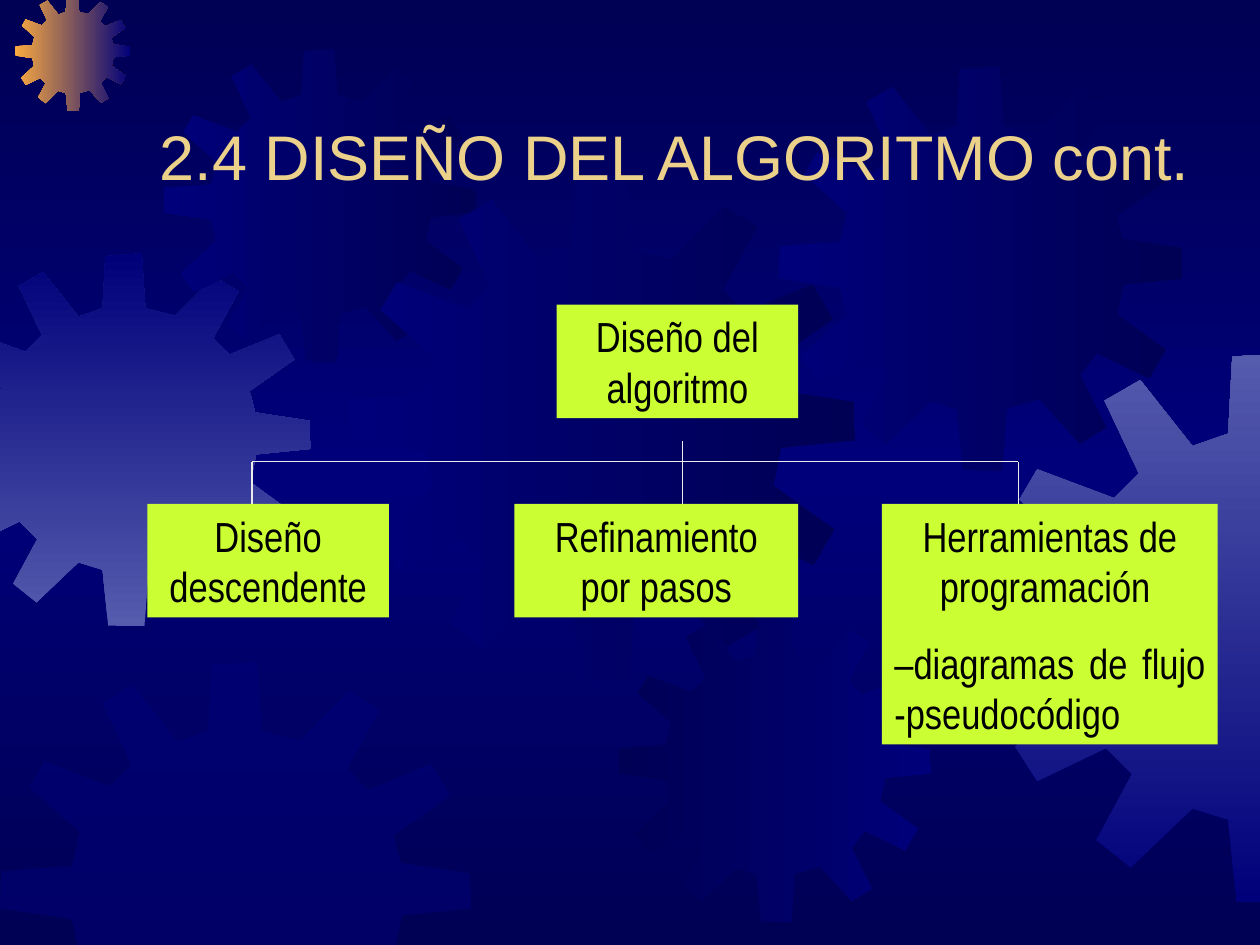
from copy import deepcopy

from lxml.etree import SubElement
from pptx import Presentation
from pptx.dml.color import RGBColor
from pptx.enum.shapes import MSO_CONNECTOR, MSO_SHAPE
from pptx.enum.text import MSO_ANCHOR, PP_ALIGN
from pptx.oxml.ns import qn
from pptx.util import Cm, Pt

NIGHT = RGBColor(0x00, 0x00, 0x54)
NAVY = RGBColor(0x00, 0x00, 0x7A)
STEEL = RGBColor(0x55, 0x5B, 0xAD)
ORANGE = RGBColor(0xFC, 0xAB, 0x40)
SAND = RGBColor(0xEB, 0xD1, 0x89)
LIME = RGBColor(0xCC, 0xFF, 0x33)
BLACK = RGBColor(0x00, 0x00, 0x00)
PALE = RGBColor(0xEA, 0xEA, 0xEA)

WIDTH, HEIGHT = 25.4, 19.05

# Outline of a twelve-toothed gear on a grid 401 units wide
GEAR_SPAN = 401
GEAR = [
    (255, 67), (223, 59), (219, 0), (180, 3), (177, 59), (151, 68), (113, 20),
    (87, 35), (112, 88), (94, 106), (38, 85), (25, 107), (68, 145), (61, 174),
    (1, 178), (0, 210), (61, 219), (67, 246), (22, 287), (38, 312), (88, 288),
    (107, 307), (81, 355), (106, 375), (151, 332), (177, 340), (183, 400),
    (222, 401), (226, 339), (259, 330), (299, 374), (325, 358), (299, 306),
    (316, 284), (368, 309), (384, 281), (336, 246), (342, 216), (401, 210),
    (400, 180), (341, 171), (335, 148), (383, 114), (367, 87), (313, 109),
    (296, 91), (323, 41), (297, 25),
]


def clip(points, axis, limit, sign):
    """Cut a polygon at a line, keeping the side where sign * (value - limit) >= 0."""
    kept = []
    for start, end in zip(points, points[1:] + points[:1]):
        a, b = (sign * (p[axis] - limit) for p in (start, end))
        if a >= 0:
            kept.append(start)
        if a * b < 0:
            t = a / (a - b)
            kept.append(tuple(s + t * (e - s) for s, e in zip(start, end)))
    return kept


class SlideBuilder:
    def __init__(self, slide):
        self.slide = slide
        self.shapes = slide.shapes

    def gradient(self, fill, first, last, angle):
        fill.gradient()
        fill.gradient_angle = 360 - angle
        for stop, color in zip(fill.gradient_stops, (first, last)):
            stop.color.rgb = color

    def background(self, edge, middle):
        fill = self.slide.background.fill
        self.gradient(fill, edge, middle, 90)
        stops = self.slide.element.find(".//" + qn("a:gsLst"))
        stops.append(deepcopy(stops[0]))
        stops[1].set("pos", "50000")
        stops[2].set("pos", "100000")

    def gear(self, left, top, size, first, last=None, angle=0):
        scale = size / GEAR_SPAN
        points = [(left + x * scale, top + y * scale) for x, y in GEAR]
        for axis, limit, sign in ((0, 0, 1), (1, 0, 1), (0, WIDTH, -1), (1, HEIGHT, -1)):
            points = clip(points, axis, limit, sign)
        corners = [(Cm(x), Cm(y)) for x, y in points]
        builder = self.shapes.build_freeform(*corners[0])
        builder.add_line_segments(corners[1:], close=True)
        gear = builder.convert_to_shape()
        gear.shadow.inherit = False
        gear.line.fill.background()
        if last is not None:
            self.gradient(gear.fill, first, last, angle)
        else:
            gear.fill.solid()
            gear.fill.fore_color.rgb = first
            color = gear.element.spPr.find(".//" + qn("a:srgbClr"))
            SubElement(color, qn("a:alpha"), val="50000")

    def add_text(self, paragraph, text, font, size, color):
        run = paragraph.add_run()
        run.text = text
        run.font.name = font
        run.font.size = Pt(size)
        run.font.color.rgb = color

    def title(self, text, left, top, width, height):
        frame = self.shapes.add_textbox(Cm(left), Cm(top), Cm(width), Cm(height)).text_frame
        frame.word_wrap = True
        frame.vertical_anchor = MSO_ANCHOR.BOTTOM
        self.add_text(frame.paragraphs[0], text, "Arial", 36, SAND)

    def box(self, left, top, width, height, heading, details=None):
        box = self.shapes.add_shape(
            MSO_SHAPE.RECTANGLE, Cm(left), Cm(top), Cm(width), Cm(height))
        box.shadow.inherit = False
        box.fill.solid()
        box.fill.fore_color.rgb = LIME
        box.line.fill.background()
        frame = box.text_frame
        frame.word_wrap = True
        frame.vertical_anchor = MSO_ANCHOR.TOP
        first = frame.paragraphs[0]
        first.alignment = PP_ALIGN.CENTER
        self.add_text(first, heading, "Arial Narrow", 24, BLACK)
        if details:
            second = frame.add_paragraph()
            second.alignment = PP_ALIGN.JUSTIFY
            second.space_before = Pt(15)
            self.add_text(second, details, "Arial Narrow", 24, BLACK)

    def line(self, x1, y1, x2, y2):
        line = self.shapes.add_connector(
            MSO_CONNECTOR.STRAIGHT, Cm(x1), Cm(y1), Cm(x2), Cm(y2))
        line.line.color.rgb = PALE
        line.line.width = Pt(0.75)
        SubElement(line.element.spPr, qn("a:effectLst"))


def main():
    deck = Presentation()
    deck.slide_width, deck.slide_height = Cm(WIDTH), Cm(HEIGHT)
    page = SlideBuilder(deck.slides.add_slide(deck.slide_layouts[6]))

    # Backdrop of gears
    page.background(NIGHT, NAVY)
    page.gear(-1.25, 5.11, 7.52, STEEL, NAVY, 270)
    page.gear(0.3, -0.1, 2.33, ORANGE, NAVY)
    page.gear(3.3, 0.99, 6.3, NIGHT, NAVY, 180)
    page.gear(7.04, 3.53, 10.2, NAVY, NIGHT)
    page.gear(0, 13.34, 9.5, NAVY)
    page.gear(12.47, 12.29, 6.3, NIGHT, NAVY)
    page.gear(15.7, 1.35, 8.14, NAVY, NIGHT)
    page.gear(19.86, 7.11, 11.1, NAVY, STEEL, 270)

    # Title
    page.title("2.4 DISEÑO DEL ALGORITMO cont.", 2.97, 0.84, 21.59, 3.18)

    # Root and its three branches
    branch_top = 10.16
    page.box(11.22, 6.14, 4.87, 2.29, "Diseño del algoritmo")
    page.box(2.97, branch_top, 4.87, 2.29, "Diseño descendente")
    page.box(10.37, branch_top, 5.72, 2.29, "Refinamiento por pasos")
    page.box(17.78, branch_top, 6.77, 4.85, "Herramientas de programación ",
             "–diagramas de flujo -pseudocódigo")

    # Connecting lines
    rail, trunk = 9.31, 13.76
    drops = (5.08, trunk, 20.53)
    page.line(drops[0], rail, drops[-1], rail)
    page.line(trunk, 8.89, trunk, rail)
    for x in drops:
        page.line(x, rail, x, branch_top)

    deck.save("out.pptx")


if __name__ == "__main__":
    main()
